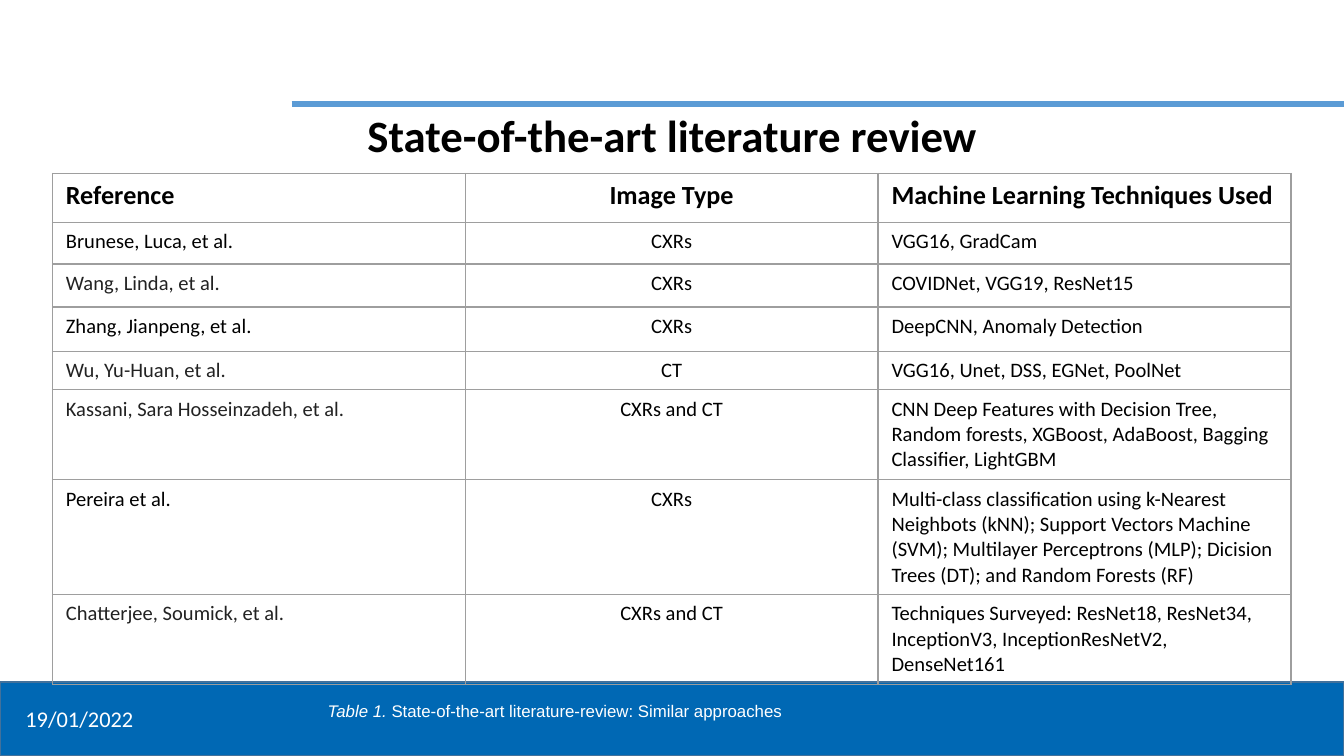
from lxml import etree
from pptx import Presentation
from pptx.dml.color import RGBColor
from pptx.enum.shapes import MSO_CONNECTOR, MSO_SHAPE
from pptx.enum.text import MSO_ANCHOR, PP_ALIGN
from pptx.oxml.ns import qn
from pptx.util import Inches, Pt

LEFT, CENTER = PP_ALIGN.LEFT, PP_ALIGN.CENTER
TOP, MIDDLE = MSO_ANCHOR.TOP, MSO_ANCHOR.MIDDLE
RECTANGLE, STRAIGHT = MSO_SHAPE.RECTANGLE, MSO_CONNECTOR.STRAIGHT

COLUMNS, ROWS = 100, 56.25  # grid of tenths of an inch
BLACK, DARK, WHITE = "000000", "222222", "FFFFFF"
RULE, BAND, BAND_EDGE, BORDER = "5B9BD5", "0068B4", "42719B", "9E9E9E"


def color(value):
    """Turn a hex string into a colour."""
    return RGBColor.from_string(value)


def grid(*units):
    """Turn grid units into lengths."""
    return [Inches(unit / 10) for unit in units]


class SlideBuilder:
    """Holds the style and the current slide."""

    font = "Calibri"

    def __init__(self, slide):
        """Start on the given slide."""
        self.slide = slide

    def style(self, paragraph, size, hue, bold=False, align=LEFT, font=None):
        """Set the font and alignment of one paragraph."""
        paragraph.alignment = align
        paragraph.font.name = font or self.font
        paragraph.font.size = Pt(size)
        paragraph.font.bold = bold
        paragraph.font.color.rgb = color(hue)

    def rule(self, x1, y1, x2, y2, hue, width):
        """Draw a straight line without a shadow."""
        line = self.slide.shapes.add_connector(STRAIGHT, *grid(x1, y1, x2, y2))
        line.line.color.rgb = color(hue)
        line.line.width = Pt(width)
        etree.SubElement(line._element.spPr, qn("a:effectLst"))

    def band(self, x, y, width, height, fill, edge):
        """Draw a filled rectangle with a thin edge."""
        bar = self.slide.shapes.add_shape(RECTANGLE, *grid(x, y, width, height))
        bar.shadow.inherit = False
        bar.fill.solid()
        bar.fill.fore_color.rgb = color(fill)
        bar.line.color.rgb = color(edge)
        bar.line.width = Pt(1)

    def text(self, box, runs, size, hue, anchor=MIDDLE, inset=0.5, spacing=None, **look):
        """Add one paragraph of (wording, italic) runs."""
        frame = self.slide.shapes.add_textbox(*grid(*box)).text_frame
        frame.word_wrap = True
        frame.vertical_anchor = anchor
        frame.margin_top, frame.margin_bottom = grid(inset, inset)
        paragraph = frame.paragraphs[0]
        paragraph.line_spacing = spacing
        self.style(paragraph, size, hue, **look)
        for wording, italic in runs:
            run = paragraph.add_run()
            run.text = wording
            run.font.italic = italic

    def border(self, cell, hue, width):
        """Outline all four sides of a cell."""
        properties = cell._tc.get_or_add_tcPr()
        for side in ("lnL", "lnR", "lnT", "lnB"):
            line = etree.SubElement(properties, qn(f"a:{side}"), w=str(Pt(width)))
            fill = etree.SubElement(line, qn("a:solidFill"))
            etree.SubElement(fill, qn("a:srgbClr"), val=hue)

    def table(self, x, y, width, heights, records, dark_rows, tall_rows):
        """Add a plain bordered table with a bold first row."""
        count = len(records[0])
        table = self.slide.shapes.add_table(
            len(records), count, *grid(x, y, width, sum(heights))).table
        table.first_row = table.horz_banding = False
        for column in table.columns:
            column.width = Inches(width / count / 10)
        for r, (record, height) in enumerate(zip(records, heights)):
            table.rows[r].height = Inches(height / 10)
            for c, wording in enumerate(record):
                cell = table.cell(r, c)
                cell.text = wording
                if r in tall_rows:
                    cell.margin_bottom = Inches(0.07)
                self.border(cell, BORDER, 0.75)
                cell.fill.background()
                hue = DARK if c == 0 and r in dark_rows else BLACK
                for paragraph in cell.text_frame.paragraphs:
                    self.style(paragraph, 11 if r else 14, hue, bold=r == 0,
                               align=CENTER if c == 1 else LEFT)


STUDIES = [
    ("Reference", "Image Type", "Machine Learning Techniques Used"),
    ("Brunese, Luca, et al.", "CXRs", "VGG16, GradCam"),
    ("Wang, Linda, et al.", "CXRs", "COVIDNet, VGG19, ResNet15"),
    ("Zhang, Jianpeng, et al.", "CXRs", "DeepCNN, Anomaly Detection"),
    ("Wu, Yu-Huan, et al.", "CT", "VGG16, Unet, DSS, EGNet, PoolNet"),
    ("Kassani, Sara Hosseinzadeh, et al.", "CXRs and CT",
     "CNN Deep Features with Decision Tree, Random forests, XGBoost, "
     "AdaBoost, Bagging Classifier, LightGBM"),
    ("Pereira et al.", "CXRs",
     "Multi-class classification using k-Nearest\n"
     "Neighbots (kNN); Support Vectors Machine (SVM); Multilayer Perceptrons "
     "(MLP); Dicision Trees (DT); and Random Forests (RF)"),
    ("Chatterjee, Soumick, et al. ", "CXRs and CT",
     "Techniques Surveyed: ResNet18, ResNet34, InceptionV3, "
     "InceptionResNetV2, DenseNet161"),
]
STUDY_HEIGHTS = [3.65, 3.1, 3.2, 3.3, 2.85, 3.4, 2.9, 3.8]

presentation = Presentation()
presentation.slide_width, presentation.slide_height = grid(COLUMNS, ROWS)
review = SlideBuilder(presentation.slides.add_slide(presentation.slide_layouts[6]))

review.rule(21.7, 7.72, COLUMNS, 7.72, RULE, 3)
review.band(0, 50.75, COLUMNS, 5.5, BAND, BAND_EDGE)
review.text((0.9, 51.5, 22.5, 4), [("19/01/2022", False)], 12, WHITE)
review.text((3.4, 6.9, 93.2, 6.7), [("State-of-the-art literature review", False)],
            24, BLACK, spacing=0.9, bold=True, align=CENTER)
review.table(3.9, 12.9, 92.15, STUDY_HEIGHTS, STUDIES,
             dark_rows={2, 4, 5, 7}, tall_rows={5, 6, 7})
review.text((23.4, 51.4, 60.4, 3.3),
            [("Table 1. ", True),
             ("State-of-the-art literature-review: Similar approaches", False)],
            9, WHITE, anchor=TOP, inset=1, font="Arial")

presentation.save("out.pptx")
